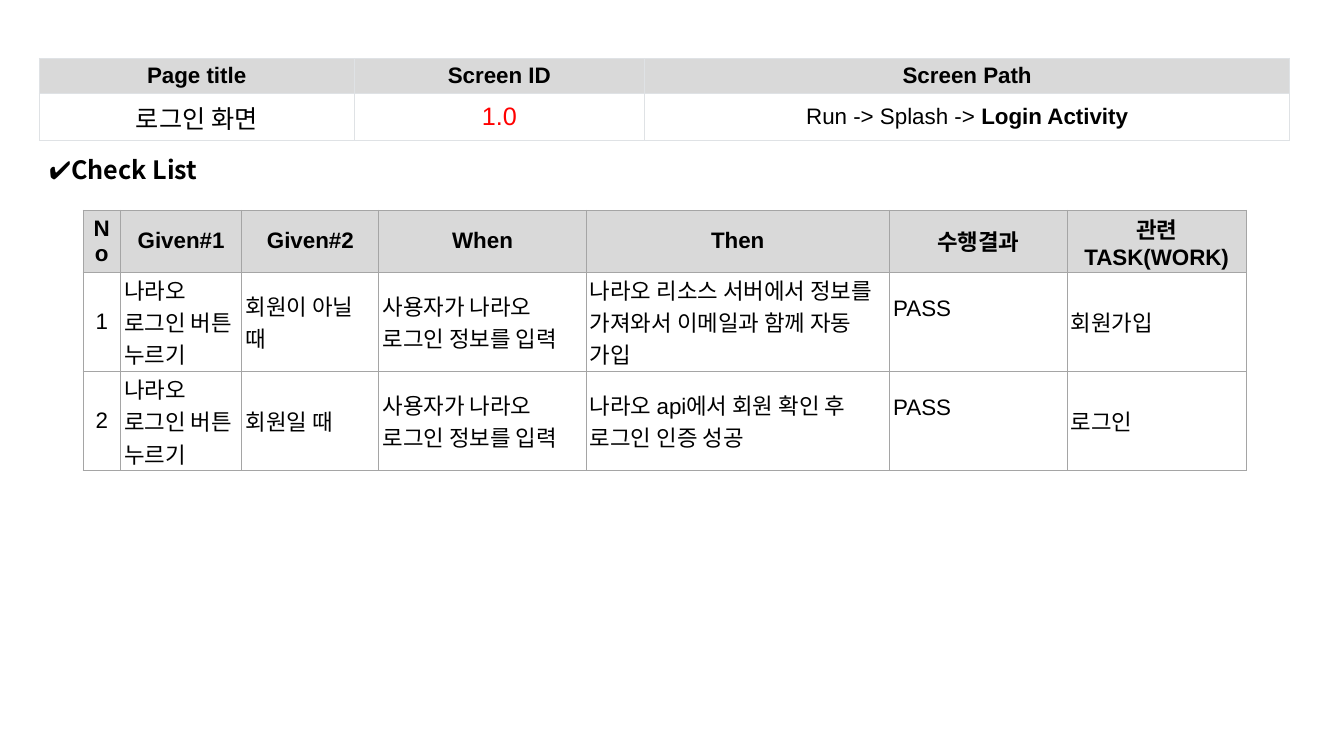
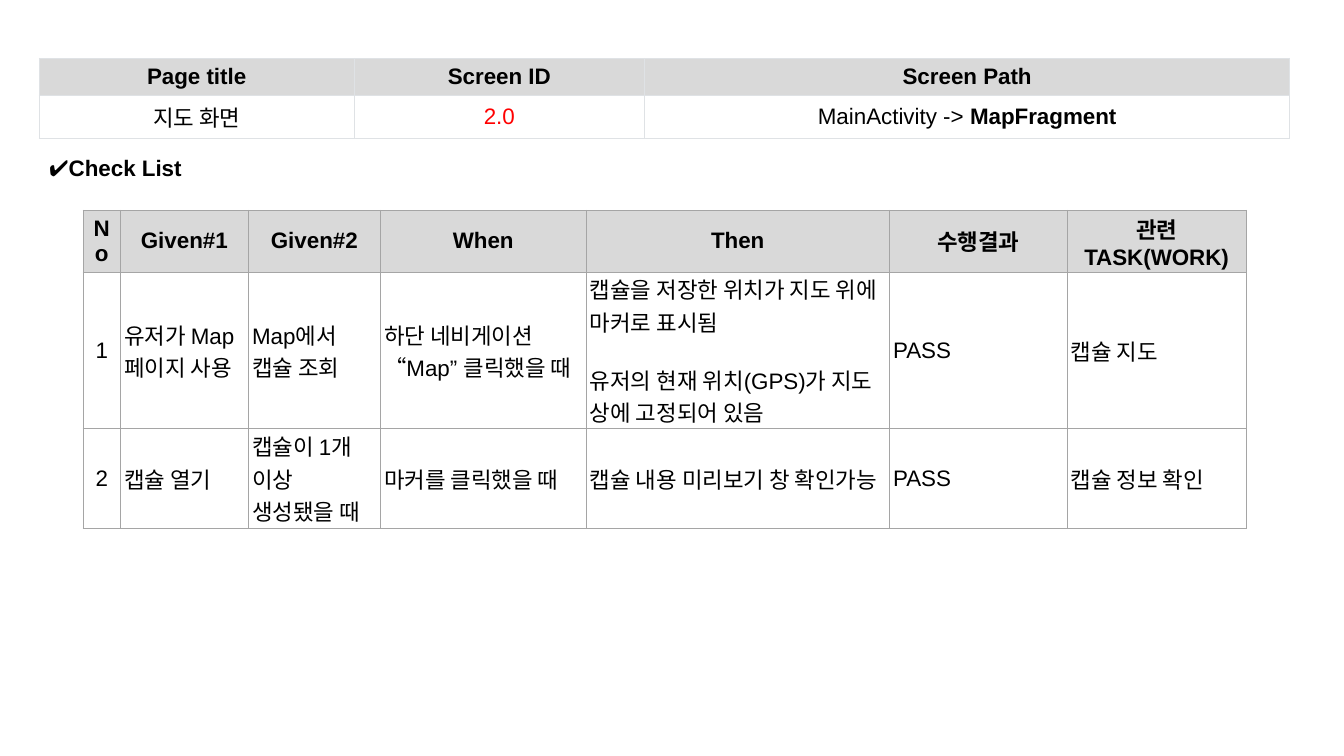
from lxml import etree
from pptx import Presentation
from pptx import util as u
from pptx.dml.color import RGBColor
from pptx.enum import text
from pptx.oxml import ns

BLACK = RGBColor(0x00, 0x00, 0x00)
RED = RGBColor(0xFF, 0x00, 0x00)
WHITE = RGBColor(0xFF, 0xFF, 0xFF)
HEADER_GREY = RGBColor(0xD9, 0xD9, 0xD9)
PALE_BORDER = RGBColor(0xDF, 0xE2, 0xE5)
GREY_BORDER = RGBColor(0xA5, 0xA5, 0xA5)
LATIN = "Arial"
KOREAN = "Noto Sans CJK KR"
CENTER = text.PP_ALIGN.CENTER
LEFT = text.PP_ALIGN.LEFT

SCREEN_HEADS = ["Page title", "Screen ID", "Screen Path"]
SCREEN_WIDTHS = [224.8, 207.6, 460.8]
CHECK_HEADS = ["No", "Given#1", "Given#2", "When", "Then", "수행결과", "관련 TASK(WORK)"]

SCREENS = [
    dict(
        title="로그인 화면", number="1.0", route="Run -> Splash -> ", target="Login Activity",
        size=18, heading_size=18, heading_font=KOREAN, screen_heights=[25.2, 33.6],
        widths=[26.6, 86.8, 97.9, 148, 216.6, 126.9, 128.1], heights=[44, 71, 71],
        result_bottom=19,
        checks=[
            ["나라오 로그인 버튼 누르기", "회원이 아닐 때", "사용자가 나라오 로그인 정보를 입력",
             "나라오 리소스 서버에서 정보를 가져와서 이메일과 함께 자동 가입", "PASS", "회원가입"],
            ["나라오 로그인 버튼 누르기", "회원일 때", "사용자가 나라오 로그인 정보를 입력",
             "나라오 api에서 회원 확인 후 로그인 인증 성공", "PASS", "로그인"],
        ],
    ),
    dict(
        title="지도 화면", number="2.0", route="MainActivity -> ", target="MapFragment",
        size=16, heading_size=16, heading_font=LATIN, screen_heights=[25.2, 30.6],
        widths=[26.6, 91.4, 94.3, 147, 216.6, 126.9, 128.1], heights=[44, 112, 71],
        result_bottom=0.72,
        checks=[
            ["유저가 Map 페이지 사용", "Map에서 캡슐 조회", "하단 네비게이션 “Map” 클릭했을 때",
             "캡슐을 저장한 위치가 지도 위에 마커로 표시됨\n유저의 현재 위치(GPS)가 지도 상에 고정되어 있음",
             "PASS", "캡슐 지도"],
            ["캡슐 열기", "캡슐이 1개 이상 생성됐을 때", "마커를 클릭했을 때",
             "캡슐 내용 미리보기 창 확인가능", "PASS", "캡슐 정보 확인"],
        ],
    ),
]


def write(frame, content, size=16, color=BLACK, bold=False, align=LEFT, font=LATIN, tail=""):
    for index, line in enumerate(content.split("\n")):
        para = frame.add_paragraph() if index else frame.paragraphs[0]
        para.alignment = align
        if index:
            para.space_before = u.Pt(18.4)
        for words, heavy in ((line, bold), (tail, True)):
            if words:
                span = para.add_run()
                span.text = words
                span.font.size = u.Pt(size)
                span.font.bold = heavy
                span.font.color.rgb = color
                span.font.name = font
                east = etree.SubElement(span.font._element, ns.qn("a:ea"))
                east.set("typeface", KOREAN)


def add_grid(page, left, top, widths, heights, border, inset_x, inset_y):
    grid = page.shapes.add_table(
        len(heights), len(widths), u.Pt(left), u.Pt(top), u.Pt(sum(widths)), u.Pt(sum(heights))
    ).table
    grid.first_row = grid.horz_banding = False
    for column, width in zip(grid.columns, widths):
        column.width = u.Pt(width)
    for row, height in zip(grid.rows, heights):
        row.height = u.Pt(height)
    for index, cell in enumerate(grid.iter_cells()):
        cell.vertical_anchor = text.MSO_ANCHOR.MIDDLE
        cell.margin_left = cell.margin_right = u.Pt(inset_x)
        cell.margin_top = cell.margin_bottom = u.Pt(inset_y)
        cell.fill.solid()
        cell.fill.fore_color.rgb = HEADER_GREY if index < len(widths) else WHITE
        properties = cell._tc.get_or_add_tcPr()
        for place, side in enumerate(("lnL", "lnR", "lnT", "lnB")):
            line = etree.Element(ns.qn("a:" + side), w=str(u.Pt(0.75)))
            paint = etree.SubElement(line, ns.qn("a:solidFill"))
            etree.SubElement(paint, ns.qn("a:srgbClr"), val=str(border))
            properties.insert(place, line)
    return grid


deck = Presentation()
deck.slide_width, deck.slide_height = u.Pt(960), u.Pt(540)

for screen in SCREENS:
    page = deck.slides.add_slide(deck.slide_layouts[6])

    checklist = add_grid(page, 59.4, 150.3, screen["widths"], screen["heights"], GREY_BORDER, 2.7, 0.72)
    for column, head in enumerate(CHECK_HEADS):
        write(checklist.cell(0, column).text_frame, head, bold=True, align=CENTER)
    for number, check in enumerate(screen["checks"], 1):
        write(checklist.cell(number, 0).text_frame, str(number), align=CENTER)
        for column, content in enumerate(check, 1):
            write(checklist.cell(number, column).text_frame, content)
        checklist.cell(number, 5).margin_bottom = u.Pt(screen["result_bottom"])

    summary = add_grid(page, 28.1, 41.6, SCREEN_WIDTHS, screen["screen_heights"], PALE_BORDER, 7.2, 3.6)
    for column, head in enumerate(SCREEN_HEADS):
        write(summary.cell(0, column).text_frame, head, bold=True, align=CENTER)
    write(summary.cell(1, 0).text_frame, screen["title"], size=screen["size"], align=CENTER)
    write(summary.cell(1, 1).text_frame, screen["number"], size=screen["size"], color=RED, align=CENTER)
    write(summary.cell(1, 2).text_frame, screen["route"], align=CENTER, tail=screen["target"])

    box = page.shapes.add_textbox(u.Pt(28.1), u.Pt(106.6), u.Pt(133.2), u.Pt(28.8))
    box.text_frame.word_wrap = True
    write(box.text_frame, "✔Check List", size=screen["heading_size"], bold=True, font=screen["heading_font"])

deck.save("out.pptx")
